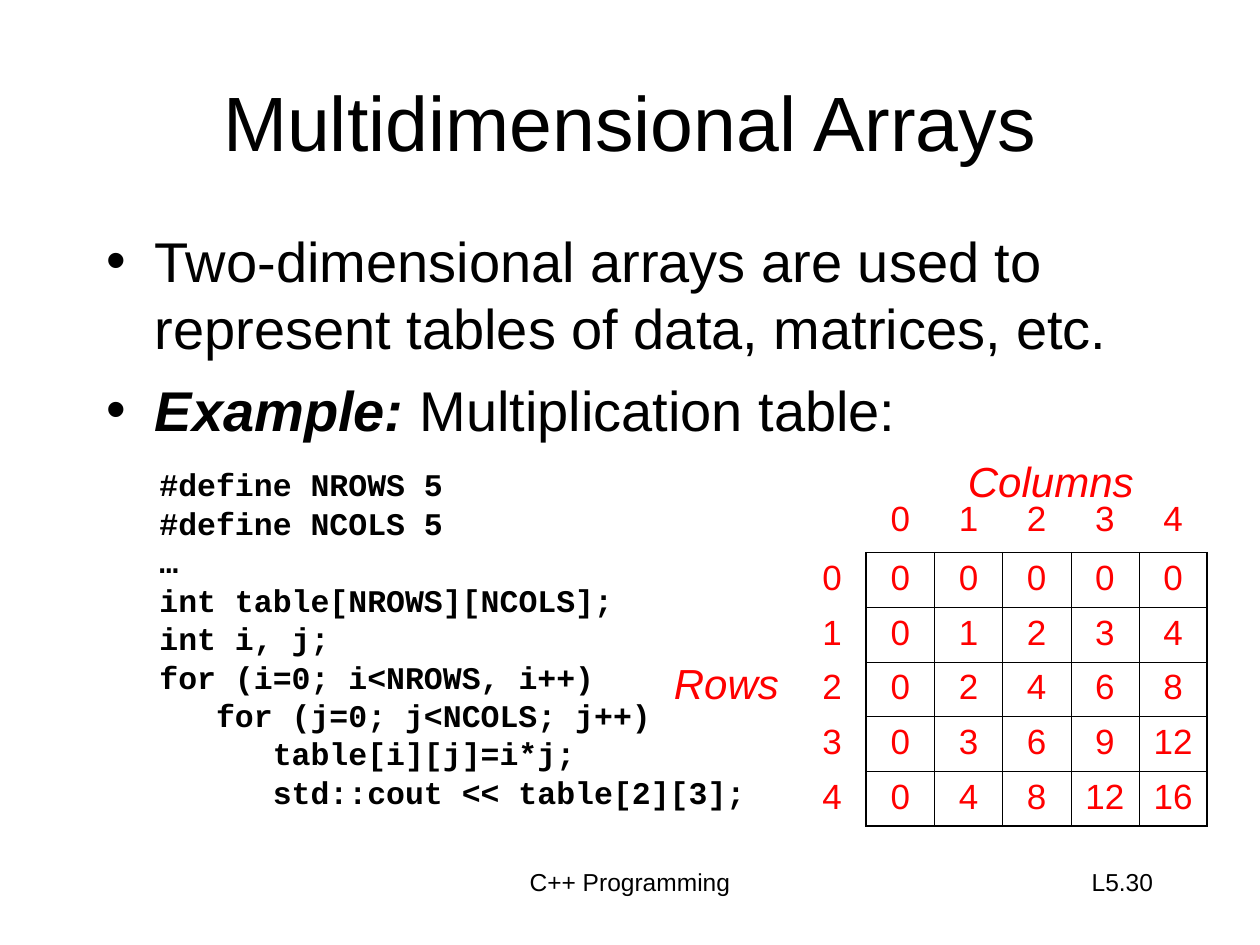
from lxml.etree import SubElement
from pptx import Presentation
from pptx.dml.color import RGBColor
from pptx.enum.text import MSO_ANCHOR, PP_ALIGN
from pptx.oxml.ns import qn
from pptx.util import Inches, Pt

BLACK, RED = "000000", "FF0000"
COUNT = 5
HEAVY, THIN = 1.08, 0.45


def colour(code):
    return RGBColor.from_string(code)


class Lecture:
    """Builds lecture pages on a grid of 120 columns by 90 rows."""

    columns, rows = 120, 90
    font = "Arial"

    def __init__(self, deck):
        self.deck = deck
        self.page = deck.slides.add_slide(deck.slide_layouts[6])

    def place(self, left, top, width, height):
        across = self.deck.slide_width / self.columns
        down = self.deck.slide_height / self.rows
        return [round(n) for n in (left * across, top * down, width * across, height * down)]

    def style(self, para, size, code=BLACK, font=None, bold=None, italic=None):
        for span in para.runs:
            span.font.name = font or self.font
            span.font.size = Pt(size)
            span.font.color.rgb = colour(code)
            span.font.bold, span.font.italic = bold, italic

    def text(self, spot, words, size, align=PP_ALIGN.LEFT, before=0, spacing=None,
             anchor=MSO_ANCHOR.TOP, **look):
        box = self.page.shapes.add_textbox(*self.place(*spot))
        frame = box.text_frame
        frame.word_wrap = True
        frame.vertical_anchor = anchor
        frame.text = words
        for para in frame.paragraphs:
            para.alignment = align
            para.space_before = Pt(before)
            if spacing:
                para.line_spacing = spacing
            self.style(para, size, **look)
        return frame

    def indent(self, para, margin, first=0):
        settings = para._p.get_or_add_pPr()
        settings.set("marL", str(Inches(margin)))
        settings.set("indent", str(Inches(first)))
        return settings

    def bullets(self, spot, items, size):
        frame = self.text(spot, "\n".join(items), size, before=8)
        for para in frame.paragraphs:
            settings = self.indent(para, 0.38, -0.38)
            SubElement(settings, qn("a:buFont"), typeface=self.font)
            SubElement(settings, qn("a:buChar"), char="•")
        return frame

    def code(self, spot, lines, size):
        words = "\n".join(line for level, line in lines)
        frame = self.text(spot, words, size, before=9, spacing=0.6,
                          font="Courier New", bold=True)
        for para, (level, line) in zip(frame.paragraphs, lines):
            self.indent(para, 0.45 * level)

    def border(self, cell, side, width):
        line = SubElement(cell._tc.get_or_add_tcPr(), qn("a:" + side))
        if width:
            line.set("w", str(Pt(width)))
            fill = SubElement(line, qn("a:solidFill"))
            SubElement(fill, qn("a:srgbClr"), val=BLACK)
        else:
            SubElement(line, qn("a:noFill"))

    def table(self, spot, values, size, edge):
        count = len(values)
        grid = self.page.shapes.add_table(count, count, *self.place(*spot)).table
        grid.first_row = grid.horz_banding = False
        for row in grid.rows:
            row.height = Inches(0.43)
        grid.rows[0].height = Inches(0.47)
        for r, line in enumerate(values):
            for c, value in enumerate(line):
                cell = grid.cell(r, c)
                cell.text = value
                para = cell.text_frame.paragraphs[0]
                para.alignment = PP_ALIGN.CENTER
                para.space_before = Pt(5)
                self.style(para, size, RED)
                widths = edge(c, r), edge(c + 1, r), edge(r, c), edge(r + 1, c)
                for side, width in zip(("lnL", "lnR", "lnT", "lnB"), widths):
                    self.border(cell, side, width)
                cell.fill.background()


def edge(line, lane):
    if line == 0 or lane == 0:
        return 0
    return HEAVY if line in (1, COUNT + 1) else THIN


deck = Presentation()
deck.slide_width, deck.slide_height = Inches(10), Inches(7.5)
lecture = Lecture(deck)

lecture.text((35, 82, 50, 6), "C++ Programming", 14, PP_ALIGN.CENTER)
lecture.text((9, 4, 102, 15), "Multidimensional Arrays", 44, PP_ALIGN.CENTER,
             anchor=MSO_ANCHOR.MIDDLE)

points = lecture.bullets((9, 21, 102, 54), [
    "Two-dimensional arrays are used to represent tables of data, matrices, etc.",
    "Example:",
], 32)
example = points.paragraphs[1]
example.add_run().text = " Multiplication table:"
lecture.style(example, 32)
example.runs[0].font.bold = example.runs[0].font.italic = True

numbers = range(COUNT)
products = [[""] + [str(n) for n in numbers]]
products += [[str(i)] + [str(i * j) for j in numbers] for i in numbers]
lecture.table((76, 47, 39, 31.2), products, 20, edge)

for label, spot in (("Columns", (91, 42.8, 19, 6)), ("Rows", (63, 62, 15, 6))):
    lecture.text(spot, label, 24, before=15, code=RED, italic=True)

lecture.code((14, 45, 62, 33), [
    (0, "#define NROWS 5"),
    (0, "#define NCOLS 5"),
    (0, "…"),
    (0, "int table[NROWS][NCOLS];"),
    (0, "int i, j;"),
    (0, "for (i=0; i<NROWS, i++)"),
    (1, "for (j=0; j<NCOLS; j++)"),
    (2, "table[i][j]=i*j;"),
    (2, "std::cout << table[2][3];"),
], 18)
lecture.text((86, 82, 25, 6), "L5.30", 14, PP_ALIGN.RIGHT)

deck.save("out.pptx")
